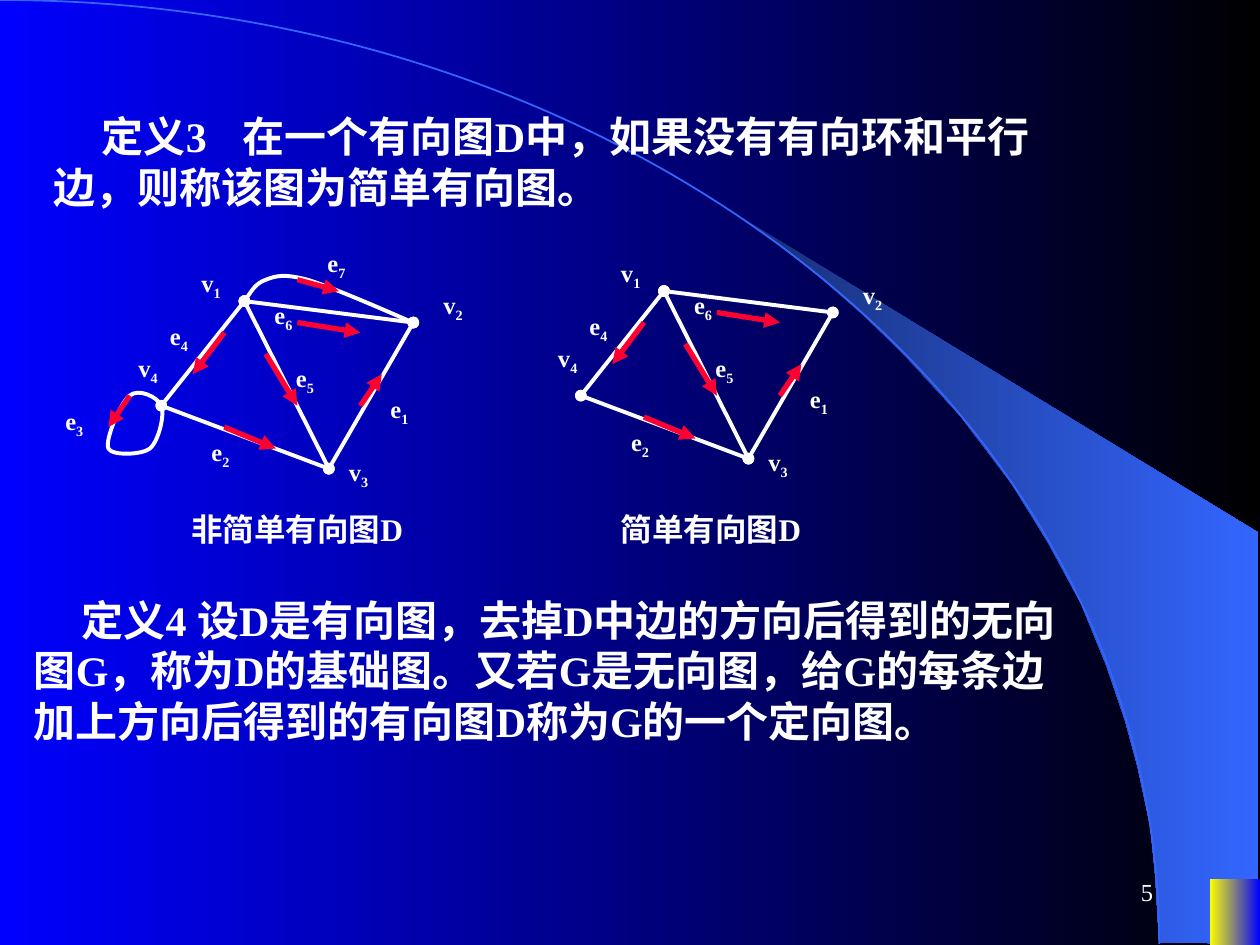
from lxml.etree import SubElement
from pptx import Presentation
from pptx.dml.color import RGBColor
from pptx.enum.shapes import MSO_CONNECTOR, MSO_SHAPE
from pptx.enum.text import MSO_ANCHOR, PP_ALIGN
from pptx.oxml.ns import qn
from pptx.util import Inches, Pt

FONT, WHITE, RED, BLUE = "Times New Roman", "FFFFFF", "FF0033", "3366FF"

# Definitions: text, left, top, height
DEFINITIONS = [
    ("定义3\t在一个有向图D中，如果没有有向环和平行边，则称该图为简单有向图。", 0.33, 0.83, 0.9),
    ("定义4 设D是有向图，去掉D中边的方向后得到的无向图G，称为D的基础图。"
     "又若G是无向图，给G的每条边加上方向后得到的有向图D称为G的一个定向图。", 0.17, 4.67, 1.3),
]

# Graph: node positions, then edges, direction arrows and labels shared by both drawings
NODES = {"v1": (1.94, 2.39), "v2": (3.28, 2.56), "v3": (2.61, 3.72), "v4": (1.28, 3.22)}
EDGES = [("v1", "v4"), ("v4", "v3"), ("v3", "v2"), ("v1", "v2"), ("v1", "v3")]
ARROWS = [
    ((2.36, 2.56), (2.86, 2.64)), ((2.86, 3.22), (3.03, 2.97)),
    ((2.11, 2.81), (2.36, 3.22)), ((1.78, 3.39), (2.19, 3.56)),
    ((1.78, 2.64), (1.53, 2.97)),
]
LABELS = [
    ("v4", 1, 2.75), ("v3", 2.67, 3.58), ("v2", 3.42, 2.25), ("v1", 1.5, 2.08),
    ("e2", 1.58, 3.42), ("e1", 3, 3.08), ("e4", 1.25, 2.5), ("e6", 2.08, 2.33),
    ("e5", 2.25, 2.83),
]

# Parallel edge e7 and loop e3, only in the non-simple graph (cubic control points)
PARALLEL = [(1.94, 2.39), (1.99, 2.32), (2.03, 2.25), (2.11, 2.22), (2.19, 2.19),
            (2.25, 2.17), (2.44, 2.22), (2.64, 2.28), (3.14, 2.5), (3.28, 2.56)]
LOOP = [(1.28, 3.22), (1.25, 3.15), (1.1, 3.08), (1.03, 3.14), (0.96, 3.19), (0.83, 3.49),
        (0.86, 3.56), (0.89, 3.62), (1.13, 3.61), (1.19, 3.56), (1.26, 3.5), (1.31, 3.29),
        (1.28, 3.22)]
EXTRA_ARROWS = [((2.36, 2.22), (2.69, 2.31)), ((1.03, 3.14), (0.86, 3.39))]
EXTRA_LABELS = [("e3", 0.42, 3.17), ("e7", 2.5, 1.92)]

# Backdrop
ARC = [(0, 0), (5.08, 0), (9.2, 3.35), (9.2, 7.49)]
BEAM = [(9.2, 7.48), (9.99, 7.49), (9.99, 4.23), (5.89, 1.73), (6.24, 1.99), (6.53, 2.22),
        (6.85, 2.5), (7.16, 2.8), (7.62, 3.3), (8.03, 3.84), (8.32, 4.31), (8.58, 4.79),
        (8.78, 5.28), (8.93, 5.72), (9.03, 6.09), (9.13, 6.56), (9.17, 6.96)]


def rgb(code):
    return RGBColor.from_string(code)


def gradient(fill, *colors):
    fill.gradient()
    fill.gradient_angle = 0
    for stop, color in zip(fill.gradient_stops, colors):
        stop.color.rgb = rgb(color)


def style_line(shape, color, width, head=None, tail=None):
    shape.line.color.rgb = rgb(color)
    shape.line.width = Pt(width)
    ln = shape.line._get_or_add_ln()
    for tag, kind in (("a:headEnd", head), ("a:tailEnd", tail)):
        if kind:
            SubElement(ln, qn(tag), type=kind)


def add_line(shapes, start, end, *style):
    (x1, y1), (x2, y2) = start, end
    line = shapes.add_connector(MSO_CONNECTOR.STRAIGHT, Inches(x1), Inches(y1),
                                Inches(x2), Inches(y2))
    style_line(line, *style)
    SubElement(line._element.spPr, qn("a:effectLst"))


def add_outline(shapes, points, close=False):
    pts = [(Inches(x), Inches(y)) for x, y in points]
    builder = shapes.build_freeform(*pts[0], scale=1.0)
    builder.add_line_segments(pts[1:], close=close)
    sp = builder.convert_to_shape()
    sp.shadow.inherit = False
    sp.fill.background()
    return sp


def add_curve(shapes, controls, *style, close=False):
    """Outline whose segments, three at a time, become cubic curves."""
    sp = add_outline(shapes, controls, close)
    segments = list(sp._element.iter(qn("a:lnTo")))[:len(controls) - 1]
    for i in range(0, len(segments), 3):
        first, *others = segments[i:i + 3]
        first.tag = qn("a:cubicBezTo")
        for segment in others:
            first.append(segment[0])
            segment.getparent().remove(segment)
    style_line(sp, *style)


def add_text(shapes, runs, x, y, w, h, size, bold=True):
    tf = shapes.add_textbox(Inches(x), Inches(y), Inches(w), Inches(h)).text_frame
    tf.word_wrap = True
    p = tf.paragraphs[0]
    for text in runs:
        r = p.add_run()
        r.text = text
        r.font.name, r.font.size, r.font.bold = FONT, Pt(size), bold
        r.font.color.rgb = rgb(WHITE)
    return tf


def add_definition(shapes, text, x, y, h):
    p = add_text(shapes, [text], x, y, 8.5, h, 24).paragraphs[0]
    pPr = p._p.get_or_add_pPr()
    for key, value in (("marL", 0), ("indent", Inches(0.38)), ("hangingPunct", 0)):
        pPr.set(key, str(value))
    tabs = SubElement(pPr, qn("a:tabLst"))
    SubElement(tabs, qn("a:tab"), pos=str(Inches(1.6)), algn="l")


def add_label(shapes, name, x, y):
    tf = add_text(shapes, name, x, y, 0.52, 0.37, 14)
    tf.paragraphs[0].runs[1].font._element.set("baseline", "-25000")


def add_graph(s, caption, caption_x, dx=0, dy=0, simple=True):
    shapes = s.shapes.add_group_shape().shapes

    def move(point):
        return point[0] + dx, point[1] + dy

    for a, b in EDGES:
        add_line(shapes, move(NODES[a]), move(NODES[b]), WHITE, 2.25, "oval", "oval")
    if not simple:
        add_curve(shapes, PARALLEL, WHITE, 2.25, "oval", "oval")
        add_curve(shapes, LOOP, WHITE, 2.25, close=True)
    for start, end in ARROWS + ([] if simple else EXTRA_ARROWS):
        add_line(shapes, move(start), move(end), RED, 3, None, "triangle")
    add_text(shapes, [caption], caption_x, 4, 2, 0.4, 18)
    for name, *at in LABELS + ([] if simple else EXTRA_LABELS):
        add_label(shapes, name, *move(at))


def main():
    prs = Presentation()
    prs.slide_width, prs.slide_height = Inches(10), Inches(7.5)
    s = prs.slides.add_slide(prs.slide_layouts[6])

    # Backdrop: beam, arc and corner block
    gradient(s.background.fill, "0000FF", "000000")
    beam = add_outline(s.shapes, BEAM, close=True)
    gradient(beam.fill, "182F76", BLUE)
    beam.line.fill.background()
    add_curve(s.shapes, ARC, BLUE, 1)
    corner = s.shapes.add_shape(MSO_SHAPE.RECTANGLE, Inches(9.6), Inches(6.98),
                                Inches(0.4), Inches(0.52))
    corner.shadow.inherit = False
    gradient(corner.fill, "FFFF00", "0000FF")
    corner.line.fill.background()

    # Page number
    tf = add_text(s.shapes, ["5"], 7.17, 6.83, 2.08, 0.5, 14, bold=False)
    tf.vertical_anchor = MSO_ANCHOR.MIDDLE
    tf.paragraphs[0].alignment = PP_ALIGN.RIGHT

    # Definitions and the two graphs
    for definition in DEFINITIONS:
        add_definition(s.shapes, *definition)
    add_graph(s, "非简单有向图D", 1.42, simple=False)
    add_graph(s, "简单有向图D", 4.83, dx=3.33, dy=-0.08)

    prs.save("out.pptx")


if __name__ == "__main__":
    main()
